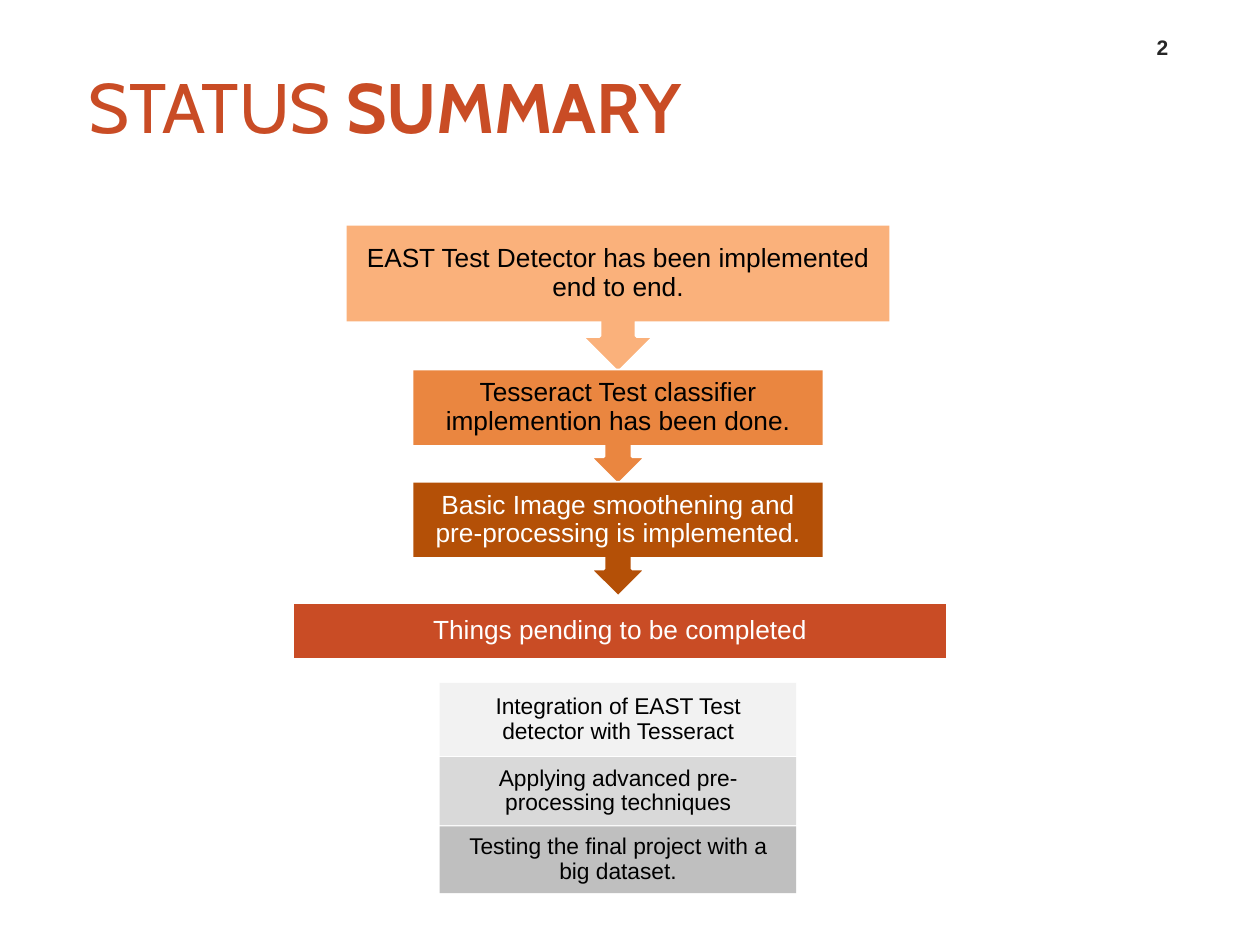
from pptx import Presentation
from pptx.dml.color import RGBColor
from pptx.enum.shapes import MSO_SHAPE as Shape
from pptx.enum.text import MSO_ANCHOR as Anchor, MSO_AUTO_SIZE as AutoSize, PP_ALIGN as Align
from pptx.util import Inches, Pt

WIDTH, HEIGHT = 10, 7.5
CENTRE = 4.905  # axis of the flow
ACCENT, BLACK, WHITE = "C94C25", "000000", "FFFFFF"
BODY_SHARE = 0.65  # part of a callout above its arrow
OVERLAP = 0.02

STEPS = [  # text, width, height, fill, text colour
    ("EAST Test Detector has been implemented end to end.", 4.31, 1.17, "FAB17B", BLACK),
    ("Tesseract Test classifier implemention has been done.", 3.25, 0.91, "EA8640", BLACK),
    ("Basic Image smoothening and pre-processing is implemented.", 3.25, 0.91, "B45007", WHITE),
]
PENDING = [  # text, height, fill
    ("Integration of EAST Test detector with Tesseract", 0.58, "F2F2F2"),
    ("Applying advanced pre-processing techniques", 0.54, "D9D9D9"),
    ("Testing the final project with a big dataset.", 0.53, "BFBFBF"),
]


def colour(value):
    return RGBColor.from_string(value)


def format_runs(para, font, size, value, bold=False):
    for span in para.runs:
        span.font.name, span.font.size, span.font.bold = font, Pt(size), bold
        span.font.color.rgb = colour(value)


def set_margins(frame, side, edge):
    frame.margin_left = frame.margin_right = Inches(side)
    frame.margin_top = frame.margin_bottom = Inches(edge)


def add_block(page, kind, box, fill, outlined=False):
    block = page.shapes.add_shape(kind, *map(Inches, box))
    block.shadow.inherit = False
    block.fill.solid()
    block.fill.fore_color.rgb = colour(fill)
    if outlined:
        block.line.color.rgb = colour(WHITE)
        block.line.width = Pt(2)
    else:
        block.line.fill.background()
    return block


def write_label(block, text, size, value, margin):
    frame = block.text_frame
    frame.word_wrap = True
    frame.vertical_anchor = Anchor.MIDDLE
    set_margins(frame, margin, margin)
    frame.text = text
    para = frame.paragraphs[0]
    para.alignment, para.line_spacing = Align.CENTER, 0.9
    format_runs(para, "Arial", size, value)


def place_title(page, box):
    title = page.shapes.title
    title.left, title.top, title.width, title.height = map(Inches, box)
    frame = title.text_frame
    frame.auto_size = AutoSize.NONE
    frame.vertical_anchor = Anchor.MIDDLE
    set_margins(frame, 0, 0.05)
    frame.margin_left = Inches(0.2)
    para = frame.paragraphs[0]
    para.alignment = Align.LEFT
    for word in ("STATUS", " SUMMARY"):
        para.add_run().text = word
    format_runs(para, "Cabin", 40, ACCENT)
    para.runs[1].font.bold = True


def place_number(page, box):
    frame = page.shapes.add_textbox(*map(Inches, box)).text_frame
    frame.word_wrap = True
    frame.vertical_anchor = Anchor.BOTTOM
    frame.text = "2"
    frame.paragraphs[0].alignment = Align.CENTER
    format_runs(frame.paragraphs[0], "Arial", 12, "262626", bold=True)


def place_steps(page, top):
    for text, width, height, fill, ink in STEPS:
        left = CENTRE - width / 2
        # Callout pointing down, with an upright label over its body
        callout = add_block(page, Shape.UP_ARROW_CALLOUT, (left, top, width, height), fill, True)
        callout.rotation = 180
        body = add_block(page, Shape.RECTANGLE, (left, top, width, height * BODY_SHARE), fill)
        write_label(body, text, 15, ink, 0.12)
        top += height - OVERLAP


def place_pending(page, top, width, gap):
    for text, height, fill in PENDING:
        row = add_block(page, Shape.RECTANGLE, (CENTRE - width / 2, top, width, height), fill)
        write_label(row, text, 13, BLACK, 0.1)
        top += height + gap


def main():
    deck = Presentation()
    deck.slide_width, deck.slide_height = Inches(WIDTH), Inches(HEIGHT)
    page = deck.slides.add_slide(deck.slide_layouts[5])

    # Heading and page number
    place_title(page, (0.5, 0.4, 5.33, 0.87))
    place_number(page, (8.95, 0.19, 0.55, 0.33))

    # Finished steps, then the pending work
    place_steps(page, 1.79)
    banner = add_block(page, Shape.RECTANGLE, (2.32, 4.78, 5.2, 0.46), ACCENT, True)
    write_label(banner, "Things pending to be completed", 15, WHITE, 0.12)
    place_pending(page, 5.42, 2.83, 0.01)

    deck.save("out.pptx")


if __name__ == "__main__":
    main()
